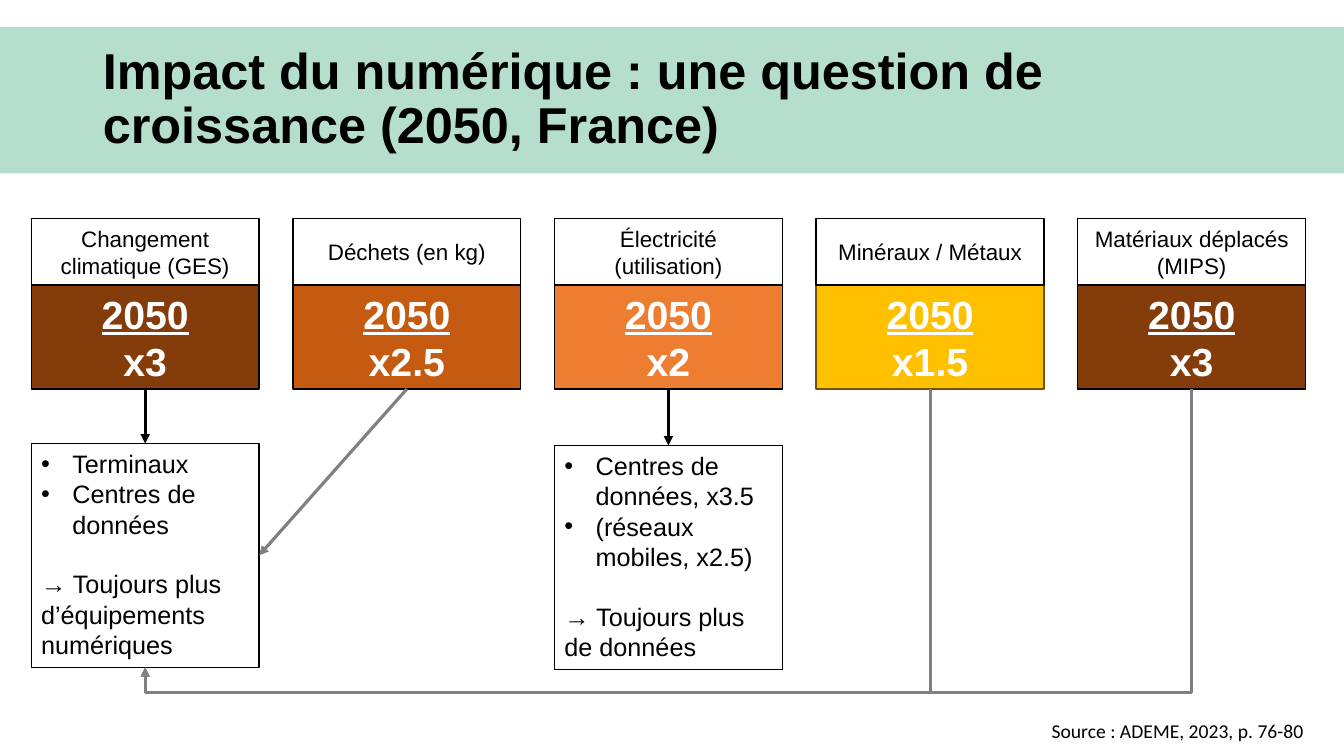
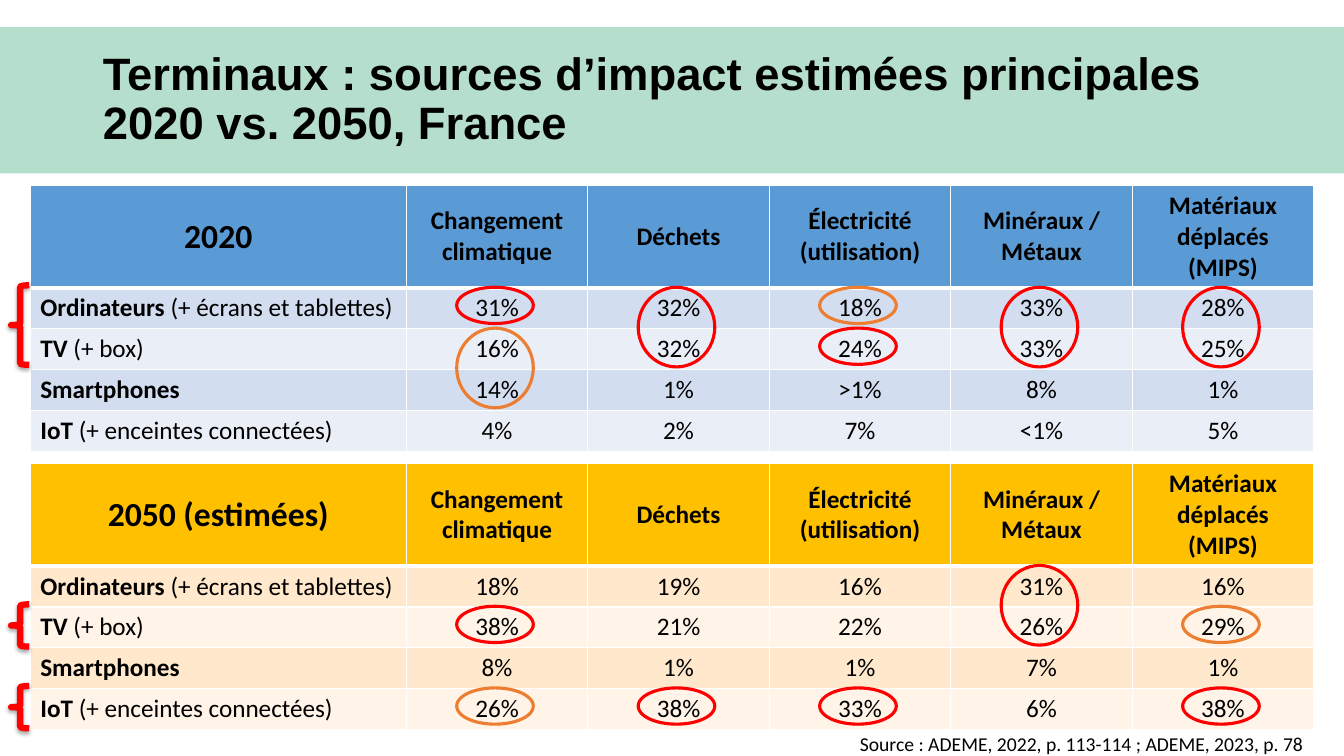
from dataclasses import dataclass

from lxml.etree import SubElement
from pptx import Presentation
from pptx.dml.color import RGBColor
from pptx.enum.shapes import MSO_CONNECTOR, MSO_SHAPE
from pptx.enum.text import MSO_ANCHOR, MSO_AUTO_SIZE, PP_ALIGN
from pptx.oxml.ns import qn
from pptx.util import Inches, Pt

HUES = {
    "band": "B5DFCC", "black": "000000", "white": "FFFFFF", "grey": "808080",
    "brown": "843C0B", "rust": "C55A11", "orange": "ED7D31", "gold": "FFC000",
    "olive": "705400", "red": "FF0000", "blue": "5B9BD5",
    "sky": "D2DEEF", "ice": "EAEFF7", "peach": "FFE8CC", "cream": "FFF4E7",
}


@dataclass
class Card:
    label: str
    factor: str
    fill: str
    line: str = "black"


@dataclass
class Note:
    col: int
    top: float
    items: list[str]
    end: str


@dataclass
class Ring:
    col: int
    row: int
    span: int = 1
    hue: str = "red"


@dataclass
class Grid:
    name: str
    top: float
    head: str
    bands: tuple[str, str]
    rows: list[list[str]]
    rings: list[Ring]
    braces: list[tuple[int, int]]  # first row, number of rows


CARDS = [
    Card("Changement climatique (GES)", "x3", "brown"),
    Card("Déchets (en kg)", "x2.5", "rust"),
    Card("Électricité (utilisation)", "x2", "orange"),
    Card("Minéraux / Métaux", "x1.5", "gold", "olive"),
    Card("Matériaux déplacés (MIPS)", "x3", "brown"),
]
NOTES = [
    Note(0, 4.4, ["Terminaux", "Centres de données"],
         "→ Toujours plus d’équipements numériques"),
    Note(2, 4.42, ["Centres de données, x3.5", "(réseaux mobiles, x2.5)"],
         "→ Toujours plus de données"),
]
HEADS = ["Changement climatique", "Déchets", "Électricité (utilisation)",
         "Minéraux / Métaux", "Matériaux déplacés (MIPS)"]
KINDS = [("Ordinateurs", " (+ écrans et tablettes)"), ("TV", " (+ box)"),
         ("Smartphones", ""), ("IoT", " (+ enceintes connectées)")]
GRIDS = [
    Grid("2020", 1.84, "blue", ("sky", "ice"),
         [["31%", "32%", "18%", "33%", "28%"],
          ["16%", "32%", "24%", "33%", "25%"],
          ["14%", "1%", ">1%", "8%", "1%"],
          ["4%", "2%", "7%", "<1%", "5%"]],
         [Ring(0, 0), Ring(1, 0, 2), Ring(0, 1, 2, "orange"), Ring(2, 1),
          Ring(2, 0, 1, "orange"), Ring(3, 0, 2), Ring(4, 0, 2)],
         [(0, 2)]),
    Grid("2050 (estimées)", 4.6, "gold", ("peach", "cream"),
         [["18%", "19%", "16%", "31%", "16%"],
          ["38%", "21%", "22%", "26%", "29%"],
          ["8%", "1%", "1%", "7%", "1%"],
          ["26%", "38%", "33%", "6%", "38%"]],
         [Ring(0, 1), Ring(0, 3, 1, "orange"), Ring(1, 3), Ring(2, 3),
          Ring(3, 0, 2), Ring(4, 3), Ring(4, 1, 1, "orange")],
         [(1, 1), (3, 1)]),
]

# Card columns and table measures, in inches
LEFT, STEP, WIDE = 0.31, 2.595, 2.26
BASE, FLOOR, LOOP = 3.86, 6.62, 6.87
EDGE, FIRST, COL = 0.3, 3.73, 1.8
HEAD, ROW = 1.01, 0.405


def tint(name: str) -> RGBColor:
    return RGBColor.from_string(HUES[name])


def write(par, text: str, size: float, font="Arial", hue="black",
          bold=False, under=False) -> None:
    run = par.add_run()
    run.text = text
    run.font.name, run.font.size = font, Pt(size)
    run.font.bold, run.font.underline = bold, under
    run.font.color.rgb = tint(hue)


def shape(slide, kind, x: float, y: float, w: float, h: float,
          fill="", line="", width=1.0):
    item = slide.shapes.add_shape(kind, Inches(x), Inches(y), Inches(w), Inches(h))
    item.shadow.inherit = False
    if fill:
        item.fill.solid()
        item.fill.fore_color.rgb = tint(fill)
    else:
        item.fill.background()
    if line:
        item.line.color.rgb = tint(line)
        item.line.width = Pt(width)
    else:
        item.line.fill.background()
    return item


def box(slide, x: float, y: float, h: float, fill="white", line="black",
        anchor=MSO_ANCHOR.MIDDLE):
    frame = shape(slide, MSO_SHAPE.RECTANGLE, x, y, WIDE, h, fill, line).text_frame
    frame.word_wrap = True
    frame.vertical_anchor = anchor
    return frame


def arrow(slide, x1: float, y1: float, x2: float, y2: float,
          hue="grey", kind=MSO_CONNECTOR.STRAIGHT):
    link = slide.shapes.add_connector(
        kind, Inches(x1), Inches(y1), Inches(x2), Inches(y2))
    link.line.color.rgb = tint(hue)
    link.line.width = Pt(2.25)
    SubElement(link.line._get_or_add_ln(), qn("a:tailEnd"), type="triangle")
    SubElement(link._element.spPr, qn("a:effectLst"))
    return link


def loop(slide, x1: float, y1: float, x2: float, y2: float) -> None:
    """Elbow arrow that goes down to LOOP, left, then up to its end."""
    tall, wide = y2 - y1, x1 - x2
    mid, cen = (x1 + x2) / 2, (y1 + y2) / 2
    link = arrow(slide, mid - tall / 2, cen - wide / 2, mid + tall / 2,
                 cen + wide / 2, kind=MSO_CONNECTOR.ELBOW)
    props = link._element.spPr
    props.find(qn("a:xfrm")).set("rot", "5400000")
    geom = props.find(qn("a:prstGeom"))
    guides = geom.find(qn("a:avLst"))
    if guides is None:
        guides = SubElement(geom, qn("a:avLst"))
    ratio = round((LOOP - y1) / tall * 100000)
    SubElement(guides, qn("a:gd"), name="adj1", fmla=f"val {ratio}")


def start(deck, lines: list[str], size: float):
    slide = deck.slides.add_slide(deck.slide_layouts[5])
    title = slide.shapes.title
    title.left, title.top = Inches(0.92), Inches(0.27)
    title.width, title.height = Inches(11.5), Inches(1.45)
    frame = title.text_frame
    frame.word_wrap, frame.auto_size = True, MSO_AUTO_SIZE.NONE
    frame.vertical_anchor = MSO_ANCHOR.MIDDLE
    par = frame.paragraphs[0]
    par.alignment, par.line_spacing = PP_ALIGN.LEFT, 0.9
    for i, line in enumerate(lines):
        if i:
            par.add_line_break()
        write(par, line, size, bold=True)
    # Band behind the title
    band = shape(slide, MSO_SHAPE.RECTANGLE, 0, 0.27, 13.33, 1.45, "band")
    slide.shapes._spTree.insert(2, band._element)
    return slide


def source(slide, top: float, text: str) -> None:
    area = slide.shapes.add_textbox(Inches(6.36), Inches(top), Inches(6.67), Inches(0.34))
    area.text_frame.word_wrap = True
    par = area.text_frame.paragraphs[0]
    par.alignment = PP_ALIGN.RIGHT
    write(par, text, 14, "Calibri")


def card(slide, x: float, data: Card) -> None:
    frame = box(slide, x, 2.83, 1.03, data.fill, data.line)
    pars = frame.paragraphs[0], frame.add_paragraph()
    for par, text in zip(pars, ("2050", data.factor)):
        par.alignment = PP_ALIGN.CENTER
        write(par, text, 28, hue="white", bold=True, under=text == "2050")
    par = box(slide, x, 2.17, 0.66).paragraphs[0]
    par.alignment = PP_ALIGN.CENTER
    write(par, data.label, 16)


def note(slide, x: float, data: Note) -> None:
    frame = box(slide, x, data.top, 2.22, anchor=MSO_ANCHOR.TOP)
    for i, text in enumerate(data.items):
        par = frame.add_paragraph() if i else frame.paragraphs[0]
        par.alignment = PP_ALIGN.LEFT
        props = par._p.get_or_add_pPr()
        props.set("marL", str(Inches(0.31)))
        props.set("indent", str(-Inches(0.31)))
        SubElement(props, qn("a:buFont"), typeface="Arial")
        SubElement(props, qn("a:buChar"), char="•")
        write(par, text, 18)
    par = frame.add_paragraph()
    par.alignment, par.space_before = PP_ALIGN.LEFT, Pt(21)
    write(par, data.end, 18)


def cell(item, fill: str, top=1, base=1, center=True):
    props = item._tc.get_or_add_tcPr()
    for side, width in (("L", 1), ("R", 1), ("T", top), ("B", base)):
        line = SubElement(props, qn(f"a:ln{side}"), w=str(Pt(width)))
        SubElement(SubElement(line, qn("a:solidFill")), qn("a:srgbClr"), val=HUES["white"])
    item.fill.solid()
    item.fill.fore_color.rgb = tint(fill)
    par = item.text_frame.paragraphs[0]
    par.alignment = PP_ALIGN.CENTER if center else PP_ALIGN.LEFT
    return par


def table(slide, data: Grid) -> None:
    rows, cols = len(KINDS) + 1, len(HEADS) + 1
    grid = slide.shapes.add_table(
        rows, cols, Inches(EDGE), Inches(data.top),
        Inches(FIRST + COL * len(HEADS)), Inches(HEAD + ROW * len(KINDS))).table
    grid.first_row = grid.horz_banding = False
    for i, col in enumerate(grid.columns):
        col.width = Inches(COL if i else FIRST)
    for i, row in enumerate(grid.rows):
        row.height = Inches(ROW if i else HEAD)
    for c, text in enumerate([data.name] + HEADS):
        item = grid.cell(0, c)
        item.vertical_anchor = MSO_ANCHOR.MIDDLE
        write(cell(item, data.head, base=3), text, 18 if c else 24, "Calibri", bold=True)
    for r, ((name, more), vals) in enumerate(zip(KINDS, data.rows), 1):
        fill, top = data.bands[(r - 1) % 2], 3 if r == 1 else 1
        par = cell(grid.cell(r, 0), fill, top, center=False)
        write(par, name, 18, "Calibri", bold=True)
        if more:
            write(par, more, 18, "Calibri")
        for c, val in enumerate(vals, 1):
            write(cell(grid.cell(r, c), fill, top), val, 18, "Calibri")


def marks(slide, data: Grid) -> None:
    body = data.top + HEAD
    for ring in data.rings:
        mid = EDGE + FIRST + COL * (ring.col + 0.5) - 0.02
        shape(slide, MSO_SHAPE.OVAL, mid - 0.38, body + ROW * ring.row, 0.76,
              0.36 + 0.43 * (ring.span - 1), line=ring.hue, width=2.25)
    for row, span in data.braces:
        brace = shape(slide, MSO_SHAPE.LEFT_BRACE, 0.11, body + ROW * row - 0.02,
                      0.18, 0.42 + 0.37 * (span - 1), line="red", width=4.5)
        glow = SubElement(brace._element.spPr.find(qn("a:effectLst")), qn("a:outerShdw"),
                          blurRad=str(Pt(3.1)), dist=str(Pt(1.8)), dir="5400000",
                          rotWithShape="0")
        ink = SubElement(glow, qn("a:srgbClr"), val=HUES["black"])
        SubElement(ink, qn("a:alpha"), val="35000")


def main() -> None:
    deck = Presentation()
    deck.slide_width, deck.slide_height = Inches(13.33), Inches(7.5)

    # Growth by 2050
    slide = start(deck, ["Impact du numérique : une question de croissance (2050, France)"], 36)
    spots = [LEFT + STEP * i for i in range(len(CARDS))]
    mids = [x + WIDE / 2 for x in spots]
    for x, data in zip(spots, CARDS):
        card(slide, x, data)
    for data in NOTES:
        note(slide, spots[data.col], data)
    source(slide, 7.08, "Source : ADEME, 2023, p. 76-80")
    for data in NOTES:
        arrow(slide, mids[data.col], BASE, mids[data.col], data.top, "black")
    arrow(slide, mids[1], BASE, LEFT + WIDE, 5.51)
    for x in mids[3:]:
        loop(slide, x, BASE, mids[0], FLOOR)

    # Devices, 2020 against 2050
    slide = start(deck, ["Terminaux : sources d’impact estimées principales",
                         "2020 vs. 2050, France"], 32.4)
    for data in GRIDS:
        table(slide, data)
    for data in GRIDS:
        marks(slide, data)
    source(slide, 7.21, "Source : ADEME, 2022, p. 113-114 ; ADEME, 2023, p. 78")
    deck.save("out.pptx")


if __name__ == "__main__":
    main()
